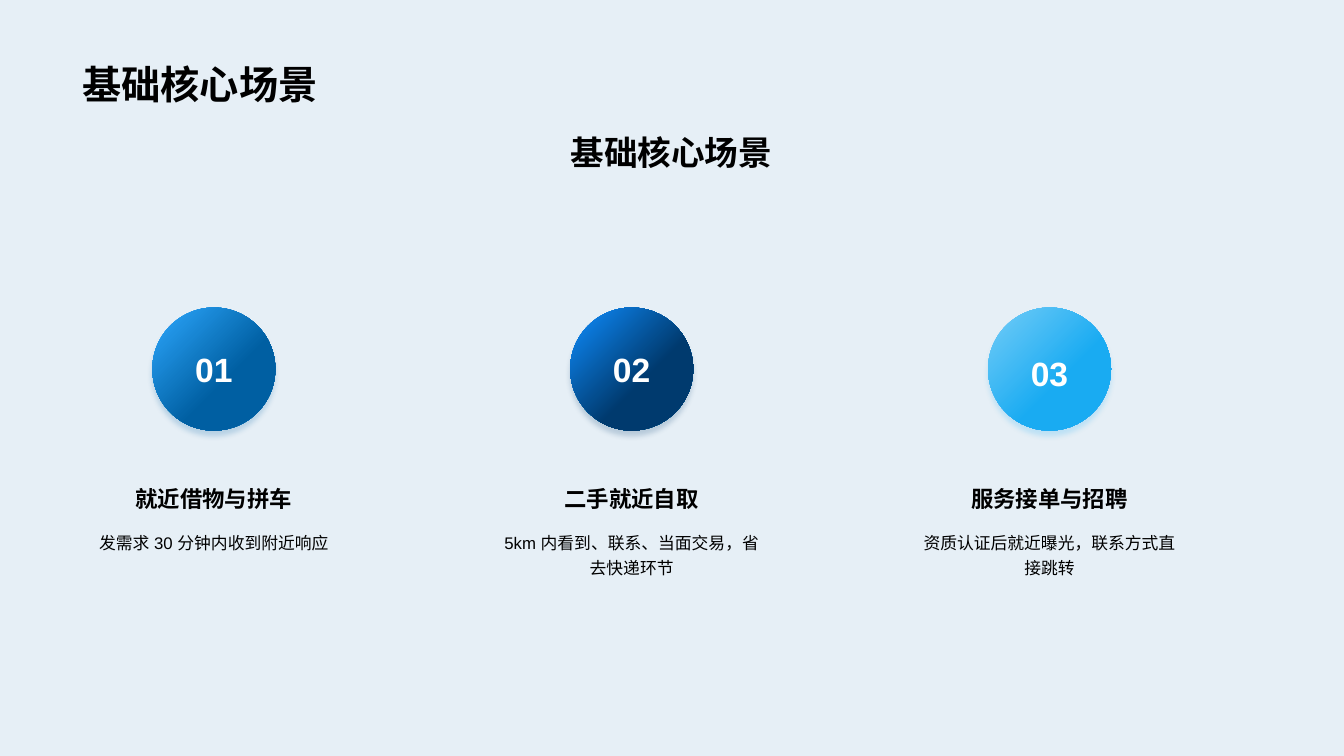
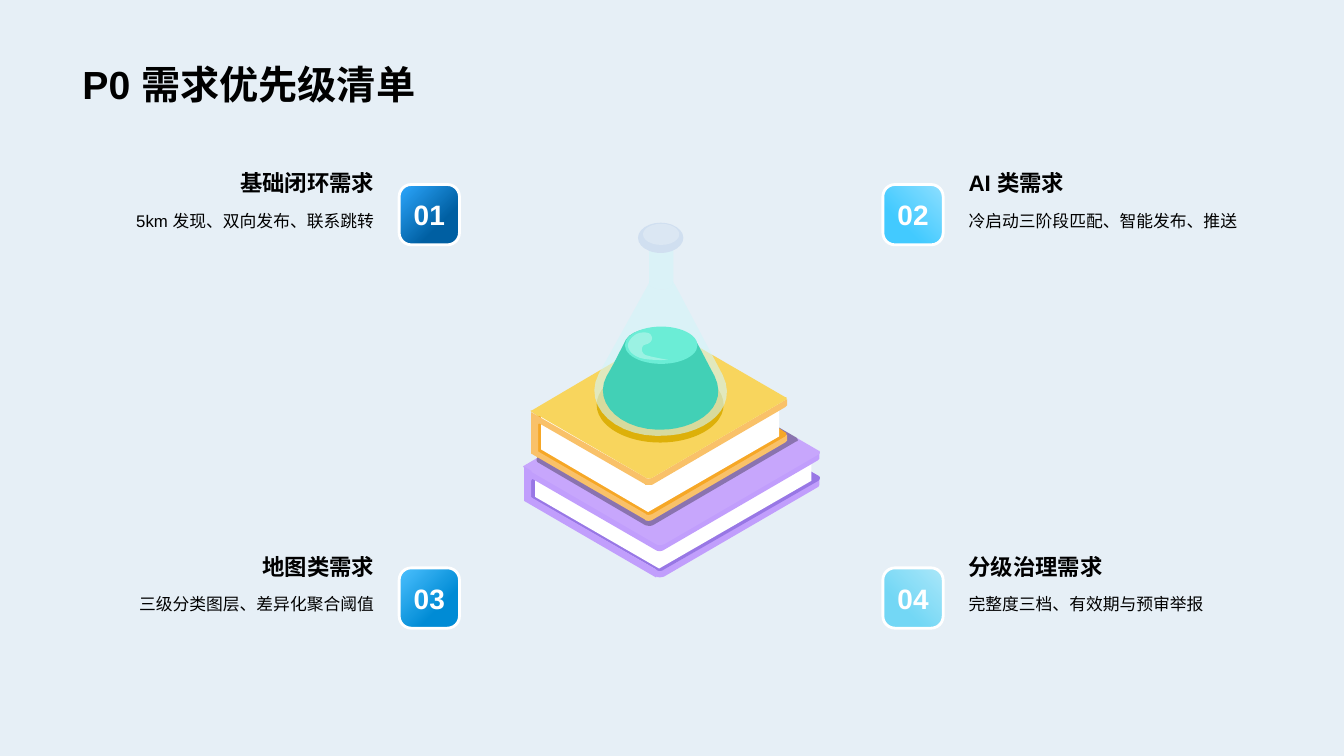
from dataclasses import dataclass

from lxml import etree
from pptx import Presentation
from pptx.dml.color import RGBColor
from pptx.enum.lang import MSO_LANGUAGE_ID
from pptx.enum.shapes import MSO_SHAPE
from pptx.enum.text import MSO_ANCHOR, PP_ALIGN
from pptx.oxml.ns import qn
from pptx.util import Cm, Pt

OVAL, ROUNDED = MSO_SHAPE.OVAL, MSO_SHAPE.ROUNDED_RECTANGLE
LEFT, CENTER, RIGHT = PP_ALIGN.LEFT, PP_ALIGN.CENTER, PP_ALIGN.RIGHT
TOP, MIDDLE, BOTTOM = MSO_ANCHOR.TOP, MSO_ANCHOR.MIDDLE, MSO_ANCHOR.BOTTOM
CHINESE = MSO_LANGUAGE_ID.SIMPLIFIED_CHINESE


@dataclass(frozen=True)
class Theme:
    font: str = "Arial"
    background: str = "E6EFF6"
    ink: str = "000000"
    white: str = "FFFFFF"
    title: int = 28
    subtitle: int = 24
    badge: int = 20
    heading: int = 16
    body: int = 12
    line_spacing: float = 1.2
    margin: float = 1.83
    content_width: float = 30.18


THEME = Theme()

# Scenes: number, heading, description, gradient colours, downward shift of the number
SCENES = [
    ("01", "就近借物与拼车", "发需求 30 分钟内收到附近响应", ("2EA9FF", "005FA2"), 0),
    ("02", "二手就近自取", "5km 内看到、联系、当面交易，省去快递环节", ("0F8EFF", "003A6E"), 0),
    ("03", "服务接单与招聘", "资质认证后就近曝光，联系方式直接跳转", ("75CDF7", "19ABF2"), 0.1),
]

# Needs, row by row: number, heading, description, gradient colours
NEEDS = [
    ("01", "基础闭环需求", "5km 发现、双向发布、联系跳转", ("2EA9FF", "005FA2")),
    ("02", "AI 类需求", "冷启动三阶段匹配、智能发布、推送", ("8EDFFF", "42CAFF")),
    ("03", "地图类需求", "三级分类图层、差异化聚合阈值", ("4DC1FF", "008BD5")),
    ("04", "分级治理需求", "完整度三档、有效期与预审举报", ("ABE7F9", "73D7F5")),
]

# Illustration: colour, opacity in percent, then an oval (left, top, width, height)
# or an outline of x,y points, where C starts a cubic curve of three points
UNIT = 0.0254
PURPLE_BOOK = [
    ("9877E5", 100, "687,373 687,407 526,500 526,466"),
    ("C7A6FC", 100, "688,375 527,469 520,464 519,463 520,462 676,371 C 677,370 679,370 680,371"),
    ("C19EFC", 100, "812,476 659,565 C 656,566 653,566 651,565 651,572 C 653,573 656,573 659,572 "
                    "812,483 813,481 813,474"),
    ("9877E5", 100, "812,472 C 814,473 814,475 812,477 659,565 C 656,567 653,567 651,565 "
                    "527,494 688,401"),
    ("FFFFFF", 100, "654,539 654,564 531,493 531,467"),
    ("FFFFFF", 100, "805,454 805,477 654,564 654,539"),
    ("C19EFC", 100, "527,477 528,475 651,546 651,539 520,463 520,497 651,573 651,565 528,494 527,493"),
    ("C19EFC", 100, "811,450 658,539 C 656,540 653,540 651,539 651,546 C 653,547 656,547 658,546 "
                    "811,457 813,455 813,447"),
    ("C7A6FC", 100, "812,447 C 814,448 814,450 812,451 659,540 C 656,541 653,541 651,540 "
                    "527,468 688,375"),
    ("000000", 30, "533,454 C 532,455 532,458 534,459 640,521 C 643,522 646,522 648,521 "
                   "790,438 C 792,438 792,436 790,434 724,396 535,451"),
]
YELLOW_BOOK = [
    ("F6A726", 100, "672,332 672,361 533,454 533,412"),
    ("F8D55D", 100, "673,332 534,413 528,409 C 526,408 526,407 528,407 662,328 C 664,328 665,328 666,328"),
    ("F9C169", 100, "779,432 647,509 C 645,510 642,510 640,509 640,516 C 642,517 645,517 647,516 "
                    "779,439 781,437 781,431"),
    ("F6A726", 100, "779,429 C 780,429 781,430 779,433 647,510 C 645,511 642,511 640,510 "
                    "533,448 672,355"),
    ("FFFFFF", 100, "643,473 643,508 537,446 537,411"),
    ("FFFFFF", 100, "773,400 773,433 643,508 643,473"),
    ("F9C169", 100, "534,421 535,420 641,481 641,474 527,409 527,450 641,516 641,510 534,448"),
    ("F9C169", 100, "779,397 647,474 C 645,475 642,475 640,474 640,481 C 642,481 645,481 647,481 "
                    "779,404 781,402 781,396"),
    ("F8D55D", 100, "779,394 C 781,394 781,396 779,397 647,474 C 645,475 643,475 641,474 "
                    "534,412 672,332"),
]
FLASK = [
    ("DDB009", 100, (592, 364, 126, 75)),
    ("D4F5F9", 62, "664,245 C 659,248 653,248 648,245 C 646,244 644,242 644,240 644,281 "
                   "C 644,283 646,285 647,285 C 653,288 659,288 664,286 C 666,285 667,283 668,281 "
                   "668,240 C 667,242 666,244 664,245"),
    ("D0DFF0", 100, (633, 221, 45, 30)),
    ("DBE7F3", 100, (638, 222, 36, 21)),
    ("D4F5F9", 62, "717,372 670,283 667,279 C 668,281 667,284 664,286 C 659,288 653,288 647,285 "
                   "C 644,284 643,281 645,279 594,371 C 577,403 612,437 664,432 "
                   "C 701,429 733,405 717,372"),
    ("42D0B6", 100, "709,373 C 704,364 696,348 691,339 C 682,322 631,320 621,337 "
                    "C 616,347 608,363 602,373 C 587,400 618,430 663,426 C 695,423 723,402 709,373"),
    ("6BEDD6", 100, (620, 324, 72, 37)),
    ("FFFFFF", 33, "636,330 C 645,329 646,332 647,335 C 647,339 644,341 640,342 "
                   "C 637,342 635,349 640,352 C 645,354 663,357 663,357 C 663,357 645,358 635,355 "
                   "C 627,352 624,348 623,343 C 623,338 629,331 636,330"),
]


def write(shape, text, *, size, bold=True, color=THEME.ink, align=LEFT, anchor=TOP, spacing=None):
    frame = shape.text_frame
    frame.word_wrap = True
    frame.vertical_anchor = anchor
    paragraph = frame.paragraphs[0]
    paragraph.alignment = align
    if spacing:
        paragraph.line_spacing = spacing
    run = paragraph.add_run()
    run.text = text
    run.font.name = THEME.font
    run.font.size = Pt(size)
    run.font.bold = bold
    run.font.color.rgb = RGBColor.from_string(color)
    run.font.language_id = CHINESE
    etree.SubElement(run._r.get_or_add_rPr(), qn("a:ea"), typeface=THEME.font)


def add_text(slide, left, top, width, height, text, **text_format):
    box = slide.shapes.add_textbox(Cm(left), Cm(top), Cm(width), Cm(height))
    write(box, text, **text_format)


def add_heading(slide, left, top, width, text, align):
    add_text(slide, left, top, width, 1.02, text, size=THEME.heading, align=align, anchor=BOTTOM)


def add_description(slide, left, top, width, text, align):
    add_text(slide, left, top, width, 0.81, text, size=THEME.body, bold=False,
             align=align, spacing=THEME.line_spacing)


def add_badge(slide, kind, left, top, size, number, colors, turn, angle, text_size):
    """Add a numbered shape whose gradient reaches its last colour at turn."""
    badge = slide.shapes.add_shape(kind, Cm(left), Cm(top), Cm(size), Cm(size))
    badge.shadow.inherit = False
    badge.line.fill.background()
    badge.fill.gradient()
    badge.fill.gradient_angle = angle
    for stop, color, position in zip(badge.fill.gradient_stops, colors, (0, turn)):
        stop.color.rgb = RGBColor.from_string(color)
        stop.position = position
    write(badge, number, size=text_size, color=THEME.white, align=CENTER, anchor=MIDDLE)
    return badge


def add_shadow(shape, color):
    effects = shape._element.spPr.find(qn("a:effectLst"))
    shadow = etree.SubElement(effects, qn("a:outerShdw"), blurRad=str(Pt(4)), dist=str(Pt(4)),
                              dir="5400000", algn="t", rotWithShape="0")
    tone = etree.SubElement(shadow, qn("a:srgbClr"), val=color)
    etree.SubElement(tone, qn("a:alpha"), val="20000")


def trace(outline):
    """Turn an outline into points, sampling its cubic curves."""
    points, tokens, steps = [], iter(outline.split()), 12

    def point(token):
        return tuple(float(value) for value in token.split(","))

    for token in tokens:
        if token != "C":
            points.append(point(token))
            continue
        curve = [points[-1]] + [point(next(tokens)) for _ in range(3)]
        for step in range(1, steps + 1):
            t = step / steps
            weights = ((1 - t) ** 3, 3 * t * (1 - t) ** 2, 3 * t * t * (1 - t), t ** 3)
            points.append(tuple(sum(w * p[axis] for w, p in zip(weights, curve))
                                for axis in (0, 1)))
    return [(Cm(x * UNIT), Cm(y * UNIT)) for x, y in points]


def add_piece(slide, color, opacity, geometry):
    if isinstance(geometry, str):
        start, *others = trace(geometry)
        builder = slide.shapes.build_freeform(*start)
        builder.add_line_segments(others, close=True)
        piece = builder.convert_to_shape()
    else:
        piece = slide.shapes.add_shape(OVAL, *(Cm(length * UNIT) for length in geometry))
    piece.shadow.inherit = False
    piece.line.fill.background()
    piece.fill.solid()
    piece.fill.fore_color.rgb = RGBColor.from_string(color)
    if opacity < 100:
        tone = piece._element.spPr.find(qn("a:solidFill"))[0]
        etree.SubElement(tone, qn("a:alpha"), val=str(opacity * 1000))


def add_slide(presentation, title):
    slide = presentation.slides.add_slide(presentation.slide_layouts[6])
    add_text(slide, THEME.margin, 0, THEME.content_width, 2.84, title,
             size=THEME.title, anchor=BOTTOM)
    return slide


def build_scenes(presentation):
    slide = add_slide(presentation, "基础核心场景")
    add_text(slide, THEME.margin, 3.2, THEME.content_width, 1.27, "基础核心场景",
             size=THEME.subtitle, align=CENTER)
    # Three columns, each centred on its circle
    first_center, pitch, diameter = 5.39, 10.53, 3.1
    heading_width, description_width = 5.56, 7.11
    for column, (number, heading, description, colors, drop) in enumerate(SCENES):
        center = first_center + column * pitch
        circle = add_badge(slide, OVAL, center - diameter / 2, 7.75, diameter, number,
                           colors, 0.6, 315, THEME.subtitle)
        circle.text_frame.margin_top = Cm(0.13 + 2 * drop)
        add_shadow(circle, colors[1])
        add_heading(slide, center - heading_width / 2, 12.01, heading_width, heading, CENTER)
        add_description(slide, center - description_width / 2, 13.21, description_width,
                        description, CENTER)


def build_needs(presentation):
    slide = add_slide(presentation, "P0 需求优先级清单")
    # Left and right columns mirror each other: badge left, text left, alignment, gradient angle
    columns = [(10.06, THEME.margin, RIGHT, 315), (22.25, 24.16, LEFT, 225)]
    first_top, pitch, text_width = 4.65, 9.66, 7.85
    for index, (number, heading, description, colors) in enumerate(NEEDS):
        row, column = divmod(index, 2)
        badge_left, text_left, align, angle = columns[column]
        top = first_top + row * pitch
        badge = add_badge(slide, ROUNDED, badge_left, top, 1.52, number, colors,
                          0.68, angle, THEME.badge)
        badge.adjustments[0] = 0.2
        badge.line.color.rgb = RGBColor.from_string(THEME.white)
        badge.line.width = Pt(2)
        add_heading(slide, text_left, top - 0.6, text_width, heading, align)
        add_description(slide, text_left, top + 0.43, text_width, description, align)
    # Books and flask in the middle
    for piece in PURPLE_BOOK + YELLOW_BOOK + FLASK:
        add_piece(slide, *piece)


def main():
    presentation = Presentation()
    presentation.slide_width, presentation.slide_height = Cm(33.87), Cm(19.05)
    background = presentation.slide_master.background.fill
    background.solid()
    background.fore_color.rgb = RGBColor.from_string(THEME.background)
    build_scenes(presentation)
    build_needs(presentation)
    presentation.save("out.pptx")


if __name__ == "__main__":
    main()
